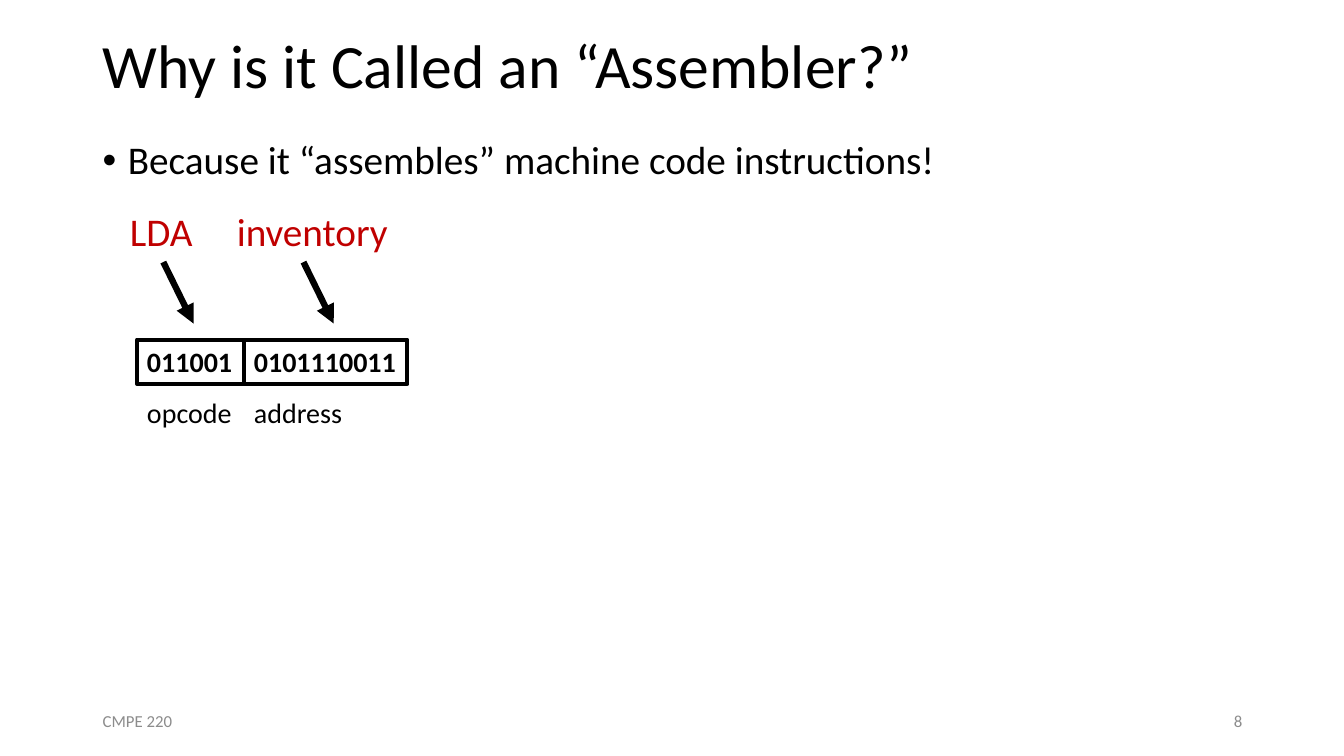
from lxml.etree import SubElement
from pptx import Presentation
from pptx.dml.color import RGBColor
from pptx.enum.shapes import MSO_CONNECTOR as Connector, MSO_SHAPE as Shape
from pptx.enum.text import MSO_ANCHOR as Anchor, MSO_AUTO_SIZE as AutoSize, PP_ALIGN as Align
from pptx.oxml.ns import qn
from pptx.util import Inches, Pt

BLACK = RGBColor(0x00, 0x00, 0x00)
WHITE = RGBColor(0xFF, 0xFF, 0xFF)
RED = RGBColor(0xC0, 0x00, 0x00)
GRAY = RGBColor(0x8C, 0x8C, 0x8C)

SLIDE_WIDTH, SLIDE_HEIGHT = 13.33, 7.5
MARGIN = 0.92
CONTENT_WIDTH = 11.5
INSET = 0.1

# Column width, arrow offset in the column, machine code, field name
FIELDS = [
    (1.06, 0.26, "011001", "opcode"),
    (1.62, 0.59, "0101110011", "address"),
]


def write(shape, text, size=20, color=BLACK, bold=False, align=Align.LEFT,
          anchor=Anchor.TOP, wrap=True, line_spacing=None, before=None):
    """Fill the shape with one formatted paragraph and return the paragraph."""
    frame = shape.text_frame
    frame.word_wrap = wrap
    frame.vertical_anchor = anchor
    para = frame.paragraphs[0]
    para.alignment = align
    if line_spacing:
        para.line_spacing = line_spacing
    if before:
        para.space_before = Pt(before)
    span = para.add_run()
    span.text = text
    span.font.name = "Calibri"
    span.font.size = Pt(size)
    span.font.bold = bold
    span.font.color.rgb = color
    return para


def add_text(page, box, text, **style):
    shape = page.shapes.add_textbox(*map(Inches, box))
    return write(shape, text, **style)


def add_field_box(page, box, text, line_color, bold=False):
    shape = page.shapes.add_shape(Shape.RECTANGLE, *map(Inches, box))
    shape.shadow.inherit = False
    shape.fill.background()
    shape.line.color.rgb = line_color
    shape.line.width = Pt(3)
    write(shape, text, bold=bold, wrap=False)
    shape.text_frame.auto_size = AutoSize.SHAPE_TO_FIT_TEXT


def add_arrow(page, left, top, width, height):
    ends = map(Inches, (left, top, left + width, top + height))
    arrow = page.shapes.add_connector(Connector.STRAIGHT, *ends)
    arrow.line.color.rgb = BLACK
    arrow.line.width = Pt(4.5)
    SubElement(arrow.line._get_or_add_ln(), qn("a:tailEnd"), type="triangle")
    SubElement(arrow._element.spPr, qn("a:effectLst"))


def add_bullet(para, indent):
    props = para._p.get_or_add_pPr()
    props.set("marL", str(Inches(indent)))
    props.set("indent", str(-Inches(indent)))
    SubElement(props, qn("a:buFont"), typeface="Arial")
    SubElement(props, qn("a:buChar"), char="•")


def add_tab_stop(para, position):
    tabs = SubElement(para._p.get_or_add_pPr(), qn("a:tabLst"))
    SubElement(tabs, qn("a:tab"), pos=str(Inches(position)), algn="l")


def add_heading(page, left, top, width, height):
    """Place the title, with the bullet line below it."""
    title_height = 1.35
    add_text(page, (left, top, width, title_height), "Why is it Called an “Assembler?”",
             size=44, anchor=Anchor.MIDDLE, line_spacing=0.9)
    bullet = add_text(page, (left, top + title_height, width, height - title_height),
                      "Because it “assembles” machine code instructions!",
                      size=28, line_spacing=0.9, before=10)
    add_bullet(bullet, 0.25)


def add_instruction(page, left, top, width):
    """Place the source instruction, with its machine code fields below it."""
    source = add_text(page, (left - INSET - 0.07, top, width, 0.7), "LDA\tinventory",
                      size=28, color=RED, line_spacing=0.9, before=10)
    add_tab_stop(source, FIELDS[0][0])
    row_height = 0.44
    code_top = top + 1.31
    for column_width, arrow_offset, code, name in FIELDS:
        add_arrow(page, left + arrow_offset, top + 0.54, 0.3, 0.61)
        add_field_box(page, (left, code_top, column_width, row_height), code, BLACK, bold=True)
        add_field_box(page, (left, code_top + 0.5, column_width, row_height), name, WHITE)
        left += column_width


def add_footer(page, left, top, width, height):
    part = 3
    style = dict(size=12, color=GRAY, anchor=Anchor.MIDDLE)
    add_text(page, (left, top, part, height), "CMPE 220", **style)
    add_text(page, (left + width - part, top, part, height), "8", align=Align.RIGHT, **style)


def main():
    deck = Presentation()
    deck.slide_width, deck.slide_height = Inches(SLIDE_WIDTH), Inches(SLIDE_HEIGHT)
    page = deck.slides.add_slide(deck.slide_layouts[6])
    add_heading(page, MARGIN, 0, CONTENT_WIDTH, 2.05)
    add_instruction(page, MARGIN + 0.44, 2.06, 3.49)
    add_footer(page, MARGIN, SLIDE_HEIGHT - 0.55, CONTENT_WIDTH, 0.4)
    deck.save("out.pptx")


if __name__ == "__main__":
    main()
